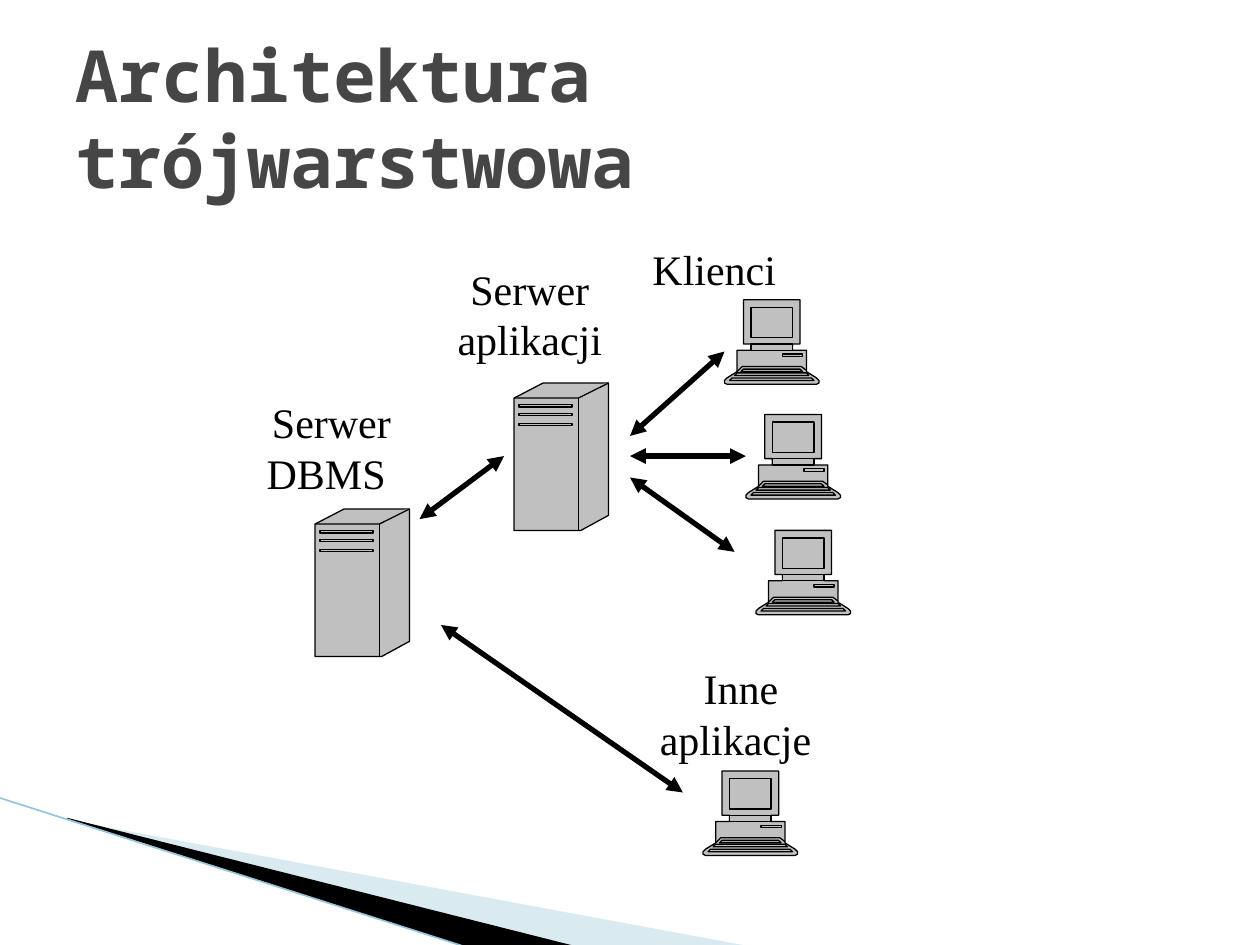
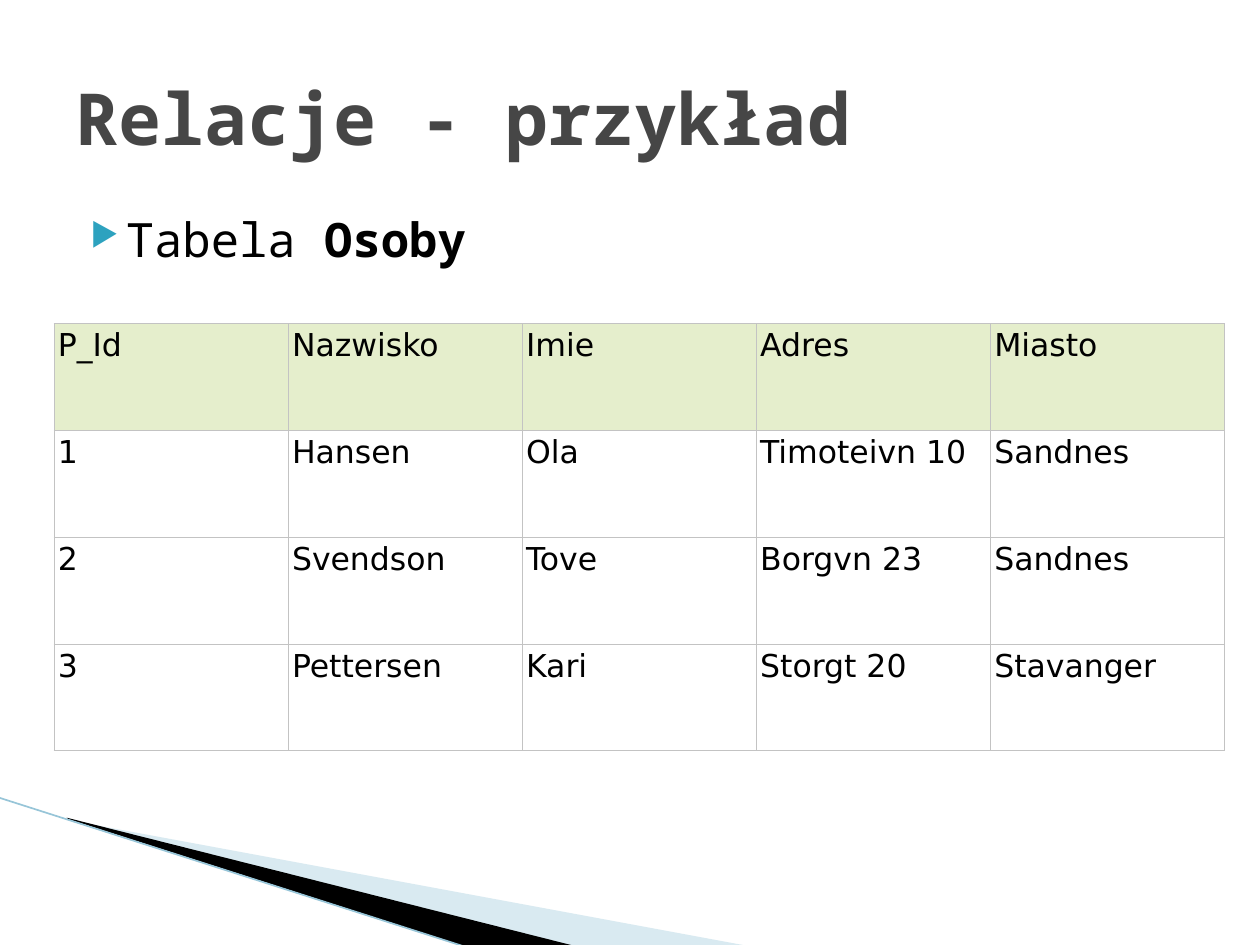
from lxml.etree import SubElement
from pptx import Presentation
from pptx.dml.color import RGBColor
from pptx.enum.shapes import MSO_CONNECTOR as Connector
from pptx.enum.text import MSO_ANCHOR as Anchor, PP_ALIGN as Align
from pptx.oxml.ns import qn
from pptx.util import Inches, Pt

# Shared style
BLACK, WHITE = "000000", "FFFFFF"
TITLE_GRAY, DEVICE_GRAY = "464646", "C0C0C0"
BAND_BLUE, EDGE_BLUE, BULLET_TEAL = "A0CBDC", "97C5D8", "2DA2BF"
HEADER_GREEN, GRID_GRAY = "E5EECC", "C3C3C3"
MONO, SERIF, SANS = "Noto Sans Mono", "Times New Roman", "DejaVu Sans"


def color(hex_code):
    return RGBColor.from_string(hex_code)


def add_run(paragraph, text, font, size, hex_code=BLACK, bold=False):
    run = paragraph.add_run()
    run.text = text
    run.font.name = font
    run.font.size = Pt(size)
    run.font.bold = bold
    run.font.color.rgb = color(hex_code)


def add_text_frame(slide, left, top, width, height):
    box = slide.shapes.add_textbox(
        Inches(left), Inches(top), Inches(width), Inches(height))
    box.text_frame.word_wrap = True
    return box.text_frame


def add_outline(slide, contours, left=0, top=0):
    """Draw contours of (points, closed) as separate paths of one freeform."""
    builder = None
    for points, closed in contours:
        corners = [(Inches(x), Inches(y)) for x, y in points]
        if builder is None:
            builder = slide.shapes.build_freeform(*corners[0])
        else:
            builder.move_to(*corners[0])
        builder.add_line_segments(corners[1:], close=closed)
    outline = builder.convert_to_shape(Inches(left), Inches(top))
    outline.shadow.inherit = False

    # Separate paths keep overlapping contours filled
    path_list = outline.element.find(".//" + qn("a:pathLst"))
    first = path_list[0]
    current = first
    for step in list(first):
        if step.tag == qn("a:moveTo") and step is not first[0]:
            current = SubElement(path_list, qn("a:path"), dict(first.attrib))
        if current is not first:
            current.append(step)
    return outline


def fill_outline(outline, hex_code, alpha=None):
    outline.fill.solid()
    outline.fill.fore_color.rgb = color(hex_code)
    if alpha:
        tint = outline.element.spPr.find(".//" + qn("a:srgbClr"))
        SubElement(tint, qn("a:alpha"), val=str(alpha * 1000))


def add_line(slide, start, end, hex_code, width, arrows=False):
    line = slide.shapes.add_connector(
        Connector.STRAIGHT, *(Inches(v) for v in (*start, *end)))
    line.line.color.rgb = color(hex_code)
    line.line.width = Pt(width)
    if arrows:
        for tip in ("a:headEnd", "a:tailEnd"):
            SubElement(line.line._get_or_add_ln(), qn(tip), type="triangle")
    SubElement(line.element.spPr, qn("a:effectLst"))


# Parts on both slides
def add_corner_bands(slide):
    bands = [
        ([(0.55, 6.51), (5.95, 7.51), (4.56, 7.51), (0.55, 6.5)], BAND_BLUE, 40),
        ([(0.53, 6.49), (4.57, 7.51), (3.72, 7.52), (0.54, 6.5)], BLACK, None),
    ]
    for points, hex_code, alpha in bands:
        band = add_outline(slide, [(points, True)])
        fill_outline(band, hex_code, alpha)
        band.line.fill.background()
    add_line(slide, (-0.01, 6.33), (3.71, 7.52), EDGE_BLUE, 0.95)


def add_title(slide, text):
    frame = add_text_frame(slide, 0.5, 0.3, 9, 1.25)
    frame.vertical_anchor = Anchor.MIDDLE
    add_run(frame.paragraphs[0], text, MONO, 41, TITLE_GRAY, bold=True)


def start_slide(deck, title):
    slide = deck.slides.add_slide(deck.slide_layouts[6])
    add_corner_bands(slide)
    add_title(slide, title)
    return slide


# Architecture diagram
def rectangle(left, top, right, bottom):
    return [(left, top), (right, top), (right, bottom), (left, bottom)], True


def server_contours():
    body = [(0, 0.12), (0.23, 0), (0.75, 0), (0.75, 1.05), (0.53, 1.17), (0, 1.17)]
    top_edge = [(0, 0.12), (0.51, 0.12), (0.75, 0)]
    front_edge = [(0.51, 0.12), (0.51, 1.17)]
    slots = [rectangle(0.04, y, 0.46, y + 0.02) for y in (0.17, 0.24, 0.32)]
    return [(body, True), (top_edge, False), (front_edge, False), *slots]


def computer_contours():
    left_side = [(0.15, 0), (0.15, 0.35), (0.21, 0.35), (0.21, 0.4), (0.1, 0.4),
                 (0.1, 0.57), (0.02, 0.62), (0, 0.64), (0, 0.66), (0.02, 0.67)]
    right_side = [(0.75 - x, y) for x, y in reversed(left_side)]
    keys = [([(0.75 - edge, y), (0.73 - edge, y - 0.02),
              (edge + 0.02, y - 0.02), (edge, y)], True)
            for edge, y in ((0.13, 0.57), (0.08, 0.6), (0.04, 0.64))]
    keyboard_rim = [(0.65, 0.56), (0.61, 0.53), (0.14, 0.53), (0.1, 0.57)]
    drive = rectangle(0.46, 0.43, 0.62, 0.45)
    screen = rectangle(0.21, 0.06, 0.54, 0.3)
    neck = rectangle(0.21, 0.35, 0.54, 0.4)
    return [(left_side + right_side, True), (keyboard_rim, False), *keys,
            drive, screen, neck]


def add_device(slide, contours, left, top):
    device = add_outline(slide, contours, left, top)
    fill_outline(device, DEVICE_GRAY)
    device.line.color.rgb = color(BLACK)
    device.line.width = Pt(0.75)


def add_label(slide, text, left, top, width, height):
    frame = add_text_frame(slide, left, top, width, height)
    frame.margin_left = frame.margin_right = Inches(0.02)
    frame.paragraphs[0].alignment = Align.CENTER
    add_run(frame.paragraphs[0], text, SERIF, 24)


def build_architecture(deck):
    slide = start_slide(deck, "Architektura trójwarstwowa")
    for left, top in ((2.5, 4.04), (4.08, 3.04)):
        add_device(slide, server_contours(), left, top)
    for left, top in ((5.75, 2.38), (5.92, 3.29), (6, 4.21), (5.58, 6.12)):
        add_device(slide, computer_contours(), left, top)

    links = [
        ((3.5, 4.96), (5.42, 6.29)),
        ((3.33, 4.12), (4, 3.62)),
        ((5, 3.46), (5.75, 2.79)),
        ((5, 3.62), (5.92, 3.62)),
        ((5, 3.79), (5.83, 4.38)),
    ]
    for start, end in links:
        add_line(slide, start, end, BLACK, 3, arrows=True)

    add_label(slide, "Serwer DBMS ", 2.09, 3.1, 1.08, 0.9)
    add_label(slide, "Serwer aplikacji ", 3.58, 2.04, 1.25, 0.9)
    add_label(slide, "Klienci ", 5, 1.88, 1.42, 0.5)
    add_label(slide, "Inne aplikacje ", 5.17, 5.21, 1.42, 0.9)


# Relation example
def add_bullet(slide, plain, strong):
    frame = add_text_frame(slide, 0.5, 1.62, 9, 4.95)
    paragraph = frame.paragraphs[0]
    paragraph.space_before = Pt(4)
    props = paragraph._p.get_or_add_pPr()
    props.set("marL", str(Inches(0.4)))
    props.set("indent", str(Inches(-0.28)))
    tint = SubElement(props, qn("a:buClr"))
    SubElement(tint, qn("a:srgbClr"), val=BULLET_TEAL)
    SubElement(props, qn("a:buSzPct"), val="68000")
    SubElement(props, qn("a:buChar"), char="▶")
    add_run(paragraph, plain, MONO, 27)
    add_run(paragraph, strong, MONO, 27, bold=True)


def style_cell(cell, text, hex_code):
    cell.margin_left = cell.margin_right = Inches(0.03)
    cell.margin_top = cell.margin_bottom = Inches(0.03)
    props = cell._tc.get_or_add_tcPr()
    for side in ("a:lnL", "a:lnR", "a:lnT", "a:lnB"):
        border = SubElement(props, qn(side), w=str(Pt(0.75)))
        ink = SubElement(border, qn("a:solidFill"))
        SubElement(ink, qn("a:srgbClr"), val=GRID_GRAY)
    cell.fill.solid()
    cell.fill.fore_color.rgb = color(hex_code)
    add_run(cell.text_frame.paragraphs[0], text, SANS, 18)


def add_people_table(slide, people):
    table = slide.shapes.add_table(
        len(people), len(people[0]),
        Inches(0.43), Inches(2.57), Inches(9.29), Inches(3.39)).table
    table.first_row = table.horz_banding = False
    for r, person in enumerate(people):
        for c, value in enumerate(person):
            style_cell(table.cell(r, c), value, WHITE if r else HEADER_GREEN)


def build_relations(deck):
    slide = start_slide(deck, "Relacje - przykład")
    add_bullet(slide, "Tabela ", "Osoby")
    add_people_table(slide, [
        ("P_Id", "Nazwisko", "Imie", "Adres", "Miasto"),
        ("1", "Hansen", "Ola", "Timoteivn 10", "Sandnes"),
        ("2", "Svendson", "Tove", "Borgvn 23", "Sandnes"),
        ("3", "Pettersen", "Kari", "Storgt 20", "Stavanger"),
    ])


def main():
    deck = Presentation()
    deck.slide_width, deck.slide_height = Inches(10), Inches(7.5)
    build_architecture(deck)
    build_relations(deck)
    deck.save("out.pptx")


if __name__ == "__main__":
    main()
